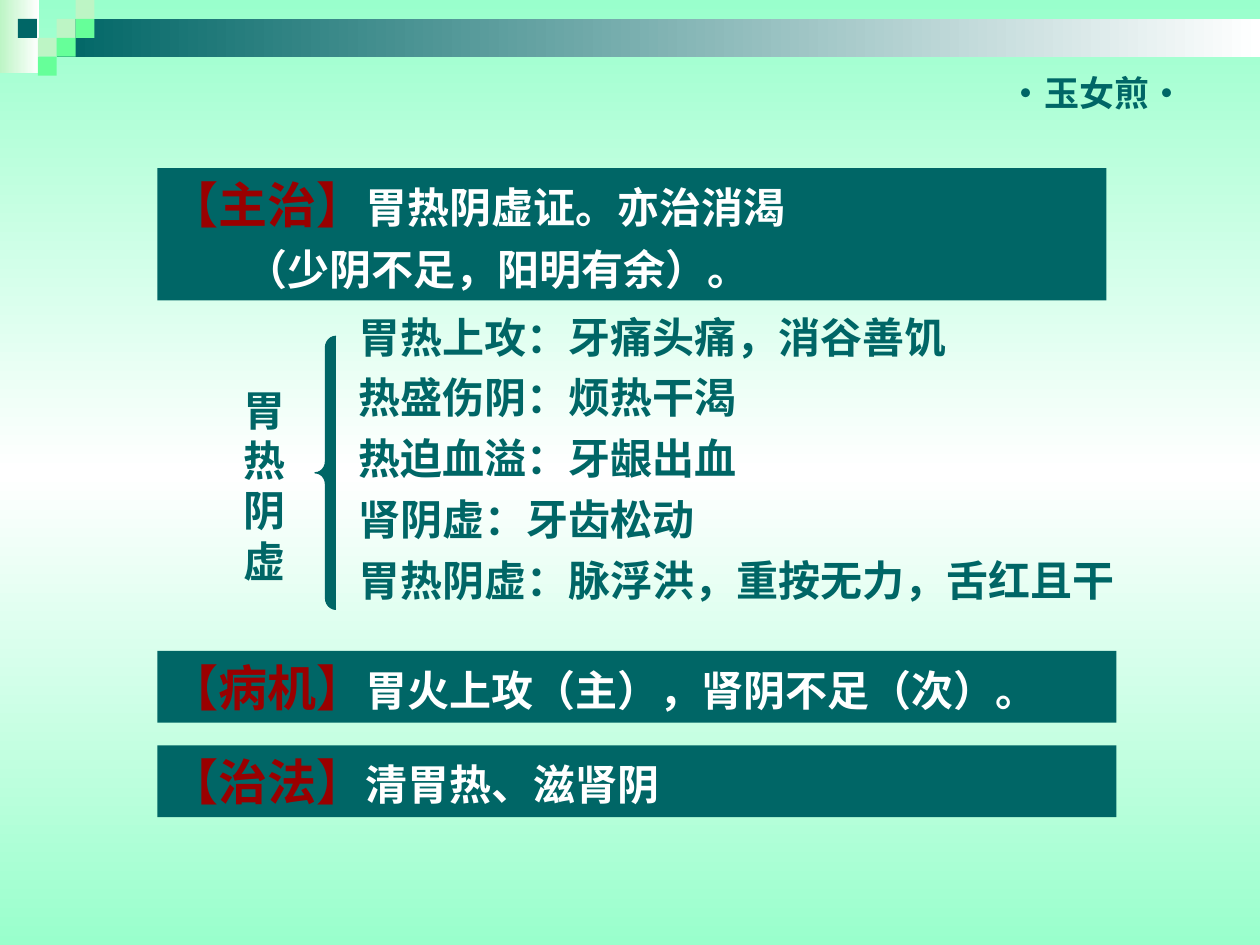
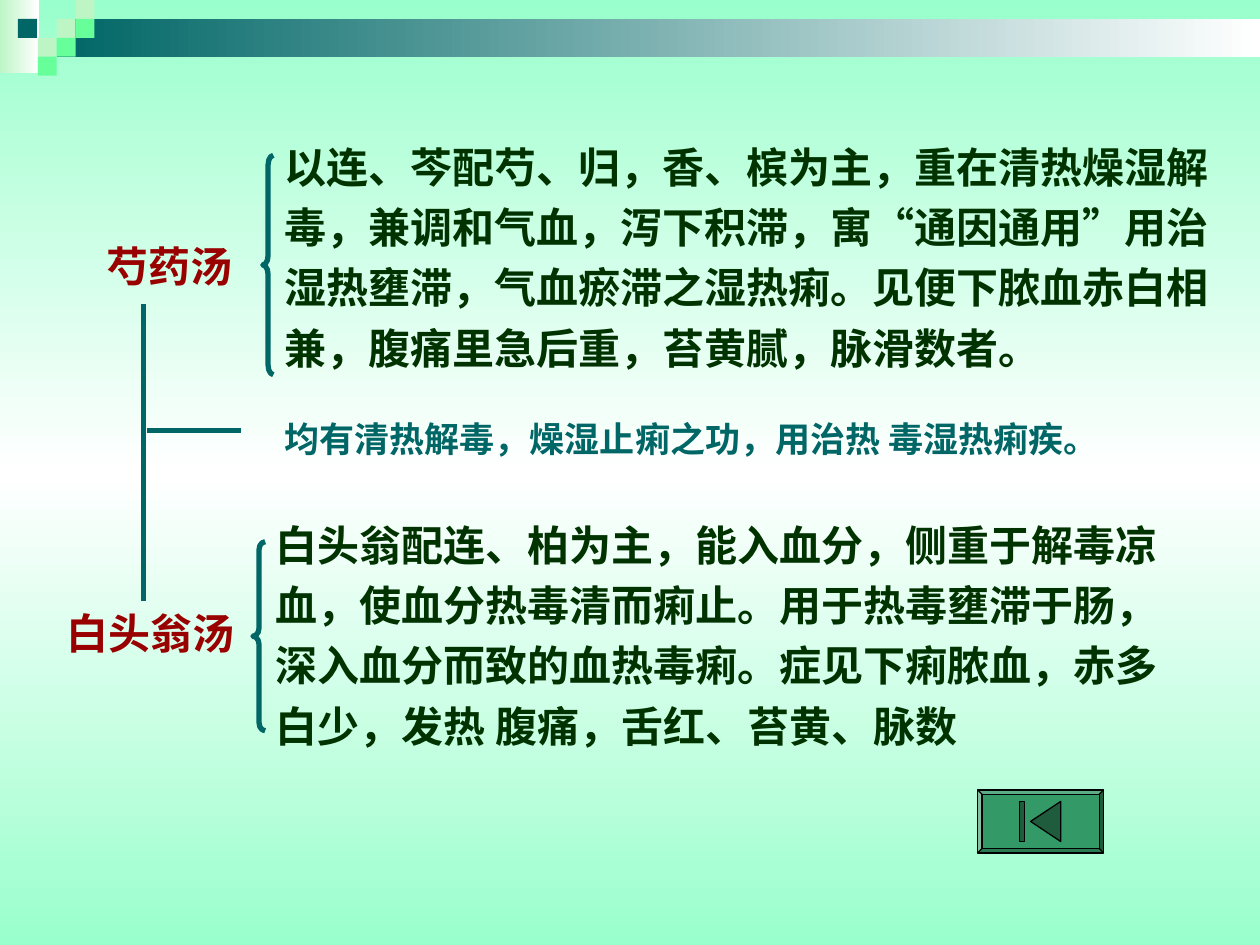
from lxml.etree import SubElement
from pptx import Presentation
from pptx.dml.color import RGBColor
from pptx.enum.shapes import MSO_CONNECTOR, MSO_SHAPE
from pptx.enum.text import MSO_ANCHOR, PP_ALIGN
from pptx.oxml.ns import qn
from pptx.util import Pt

FONT = "Noto Sans CJK SC"
TEAL, RED, WHITE, FOREST = "006666", "990000", "FFFFFF", "003300"
MINT, PALE, BRIGHT = "99FFCC", "BDF5C5", "66FF99"
BUTTON, BUTTON_DARK, BLACK = "339966", "1F5C3D", "000000"
TILE = 10.8
TILES = [(3, 1, PALE), (4, 0, PALE), (4, 1, BRIGHT), (2, 2, PALE),
         (0.95, 1, TEAL), (3, 2, BRIGHT), (2, 3, BRIGHT)]


def color(value):
    return RGBColor.from_string(value)


def points(box):
    return [Pt(length) for length in box]


def paint_gradient(fill, element, colors, angle):
    fill.gradient()
    fill.gradient_angle = angle
    stops = next(element.iter(qn("a:gsLst")))
    for stop in list(stops):
        stops.remove(stop)
    for index, value in enumerate(colors):
        position = round(100000 * index / (len(colors) - 1))
        stop = SubElement(stops, qn("a:gs"), pos=str(position))
        SubElement(stop, qn("a:srgbClr"), val=value)


def style_shape(shape, fill=None, line=None, width=0.75):
    shape.shadow.inherit = False
    if fill:
        shape.fill.solid()
        shape.fill.fore_color.rgb = color(fill)
    else:
        shape.fill.background()
    if line:
        shape.line.color.rgb = color(line)
        shape.line.width = Pt(width)
    else:
        shape.line.fill.background()
    return shape


def add_block(page, box, fill=None, kind=MSO_SHAPE.RECTANGLE, line=None, width=0.75):
    return style_shape(page.shapes.add_shape(kind, *points(box)), fill, line, width)


def add_span(para, text, size, value):
    span = para.add_run()
    span.text = text
    for name, setting in {"name": FONT, "size": Pt(size), "bold": True}.items():
        setattr(span.font, name, setting)
    span.font.color.rgb = color(value)
    SubElement(span.font._element, qn("a:ea"), typeface=FONT)


def write(shape, lines, gap=6, spacing=None):
    frame = shape.text_frame
    frame.word_wrap = True
    frame.vertical_anchor = MSO_ANCHOR.TOP
    for index, spans in enumerate(lines):
        para = frame.add_paragraph() if index else frame.paragraphs[0]
        para.alignment = PP_ALIGN.LEFT
        if index:
            para.space_before = Pt(gap)
        if spacing:
            para.line_spacing = spacing
        for span in spans:
            add_span(para, *span)
    return frame


def add_text(page, box, lines, size, value, spacing=None):
    text_box = page.shapes.add_textbox(*points(box))
    write(text_box, [[(line, size, value)] for line in lines], spacing=spacing)


def add_banner(page, box, heading, text, continuation=None):
    lines = [[(heading, 28, RED), (text, 24, WHITE)]]
    if continuation:
        lines.append([(continuation, 24, WHITE)])
    frame = write(add_block(page, box, TEAL), lines)
    if continuation:
        frame.paragraphs[1]._p.get_or_add_pPr().set("marL", str(Pt(43)))


def add_brace(page, box, curve, fill=None, width=3):
    brace = add_block(page, box, fill, MSO_SHAPE.LEFT_BRACE, TEAL, width)
    brace.adjustments[0] = curve


def add_line(page, start, end):
    line = page.shapes.add_connector(MSO_CONNECTOR.STRAIGHT, *points(start + end))
    line.line.color.rgb = color(TEAL)
    line.line.width = Pt(3)
    SubElement(line._element.spPr, qn("a:effectLst"))


def add_start_button(page, box):
    left, top, width, height = box
    frame = add_block(page, box, BUTTON, MSO_SHAPE.BEVEL, BLACK)
    frame.adjustments[0] = 0.07
    icon_top, icon_bottom = top + 6.5, top + height - 6.5
    right = left + width * 0.66
    add_block(page, (left + width / 3, icon_top, 2.9, icon_bottom - icon_top),
              BUTTON_DARK, line=BLACK)
    builder = page.shapes.build_freeform(Pt(left + width * 0.42), Pt(top + height / 2))
    builder.add_line_segments([points((right, icon_top)), points((right, icon_bottom))])
    style_shape(builder.convert_to_shape(), BUTTON_DARK, BLACK)


def add_top_band(page):
    for box, start, end in [((0, 0, 22.3, 41.8), PALE, WHITE),
                            ((32.4, TILE, 687.6, 21.6), TEAL, WHITE)]:
        band = add_block(page, box, WHITE)
        paint_gradient(band.fill, band._element, [start, end], 0)
    for column, row, value in TILES:
        add_block(page, (column * TILE, row * TILE, TILE, TILE), value)


def add_page(deck):
    page = deck.slides.add_slide(deck.slide_layouts[6])
    paint_gradient(page.background.fill, page._element, [MINT, WHITE, MINT], 90)
    add_top_band(page)
    return page


def add_symptoms(page, box):
    left, top, width, height = box
    add_text(page, (left + 66.2, top, width - 66.2, height), [
        "胃热上攻：牙痛头痛，消谷善饥",
        "热盛伤阴：烦热干渴",
        "热迫血溢：牙龈出血",
        "肾阴虚：牙齿松动",
        "胃热阴虚：脉浮洪，重按无力，舌红且干",
    ], 24, TEAL)
    add_text(page, (left, top + 41.8, 46.8, 122.4), ["胃热阴虚"], 24, TEAL)
    add_brace(page, (left + 48.2, top + 18, 12, 156), 0.54, TEAL, 0.75)


def add_formula(page, label_box, name, brace_box, curve, text_box, text):
    add_text(page, label_box, [name], 24, RED)
    add_brace(page, brace_box, curve)
    add_text(page, text_box, [text], 24, FOREST, 1.2)


def build_indications(deck):
    page = add_page(deck)
    add_text(page, (569.5, 37.4, 124.6, 31.7), ["·玉女煎·"], 20, TEAL)
    add_banner(page, (90, 96, 542.2, 75.6), "【主治】", "胃热阴虚证。亦治消渴",
               "（少阴不足，阳明有余）。")
    add_symptoms(page, (131.8, 174.2, 528.4, 185.8))
    banners = [("【病机】", "胃火上攻（主），肾阴不足（次）。"),
               ("【治法】", "清胃热、滋肾阴")]
    for index, (heading, text) in enumerate(banners):
        add_banner(page, (90, 372 + 54 * index, 548, 41), heading, text)


def build_comparison(deck):
    page = add_page(deck)
    add_formula(page, (54, 133.9, 87.1, 36), "芍药汤",
                (150.2, 88.8, 6, 125.3), 0.9, (155.5, 71.3, 544.3, 145.4),
                "以连、芩配芍、归，香、槟为主，重在清热燥湿解毒，兼调和气血，泻下积滞，"
                "寓“通因通用”用治湿热壅滞，气血瘀滞之湿热痢。见便下脓血赤白相兼，"
                "腹痛里急后重，苔黄腻，脉滑数者。")
    add_formula(page, (31, 343.4, 110.9, 36), "白头翁汤",
                (144.5, 309.6, 7, 108), 0.65, (150.5, 287.3, 540, 145.4),
                "白头翁配连、柏为主，能入血分，侧重于解毒凉血，使血分热毒清而痢止。"
                "用于热毒壅滞于肠，深入血分而致的血热毒痢。症见下痢脓血，赤多白少，"
                "发热 腹痛，舌红、苔黄、脉数")
    add_line(page, (82, 173.5), (82, 343.4))
    add_line(page, (84, 246), (138, 246))
    add_text(page, (155.5, 230.4, 516.2, 36),
             ["均有清热解毒，燥湿止痢之功，用治热 毒湿热痢疾。"], 20, TEAL, 1.2)
    add_start_button(page, (558.7, 451.4, 72, 36))


def main():
    deck = Presentation()
    deck.slide_width, deck.slide_height = Pt(720), Pt(540)
    build_indications(deck)
    build_comparison(deck)
    deck.save("out.pptx")


if __name__ == "__main__":
    main()
